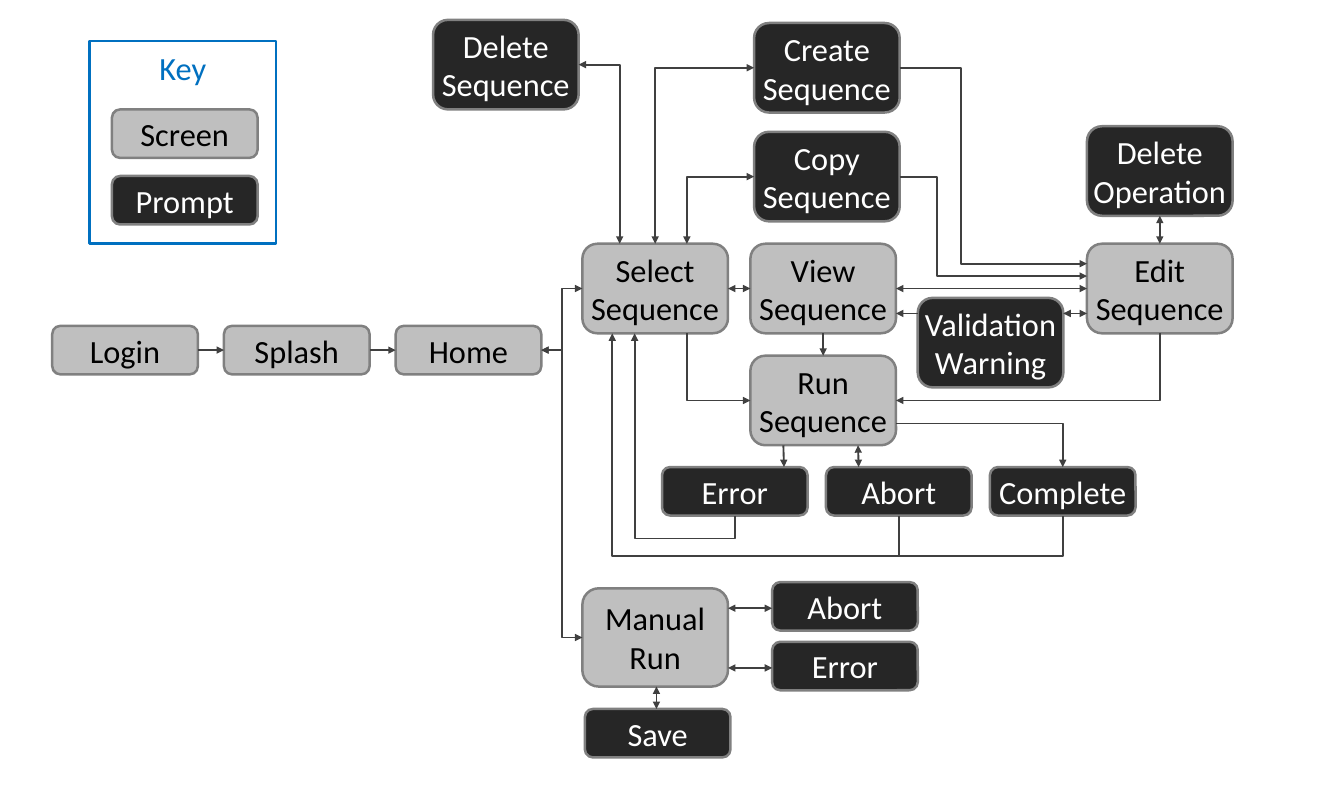
from lxml import etree
from pptx import Presentation
from pptx.dml.color import RGBColor
from pptx.enum.shapes import MSO_CONNECTOR, MSO_SHAPE
from pptx.enum.text import MSO_ANCHOR, PP_ALIGN
from pptx.oxml.ns import qn
from pptx.util import Pt

ROUNDED, RECTANGLE = MSO_SHAPE.ROUNDED_RECTANGLE, MSO_SHAPE.RECTANGLE
STRAIGHT, ELBOW = MSO_CONNECTOR.STRAIGHT, MSO_CONNECTOR.ELBOW
CENTER, MIDDLE = PP_ALIGN.CENTER, MSO_ANCHOR.MIDDLE

COLORS = {
    "screen": "BFBFBF", "screen_text": "000000",
    "prompt": "262626", "prompt_text": "FFFFFF",
    "border": "808080", "link": "404040", "key": "0070C0",
}
NODE_W, SHORT, TALL = 117, 39, 72


def rgb(name):
    return RGBColor.from_string(COLORS[name])


def write_text(shape, text, color="screen_text", size=26, font="Calibri"):
    frame = shape.text_frame
    frame.word_wrap = True
    frame.vertical_anchor = MIDDLE
    frame.margin_left = frame.margin_right = 0
    frame.margin_top = frame.margin_bottom = 0
    frame.text = text
    for paragraph in frame.paragraphs:
        paragraph.alignment = CENTER
        paragraph.font.size = Pt(size)
        paragraph.font.name = font
        paragraph.font.color.rgb = rgb(color)


def add_node(slide, label, kind, left, top, height=TALL):
    node = slide.shapes.add_shape(ROUNDED, Pt(left), Pt(top), Pt(NODE_W), Pt(height))
    node.shadow.inherit = False
    node.fill.solid()
    node.fill.fore_color.rgb = rgb(kind)
    node.line.color.rgb = rgb("border")
    node.line.width = Pt(2)
    write_text(node, label, color=kind + "_text")
    return node


def port(node, side, shift=0):
    """Point in points on one side of a node, shifted along it from the middle."""
    x, y = node.left.pt, node.top.pt
    w, h = node.width.pt, node.height.pt
    return {
        "left": (x, y + h / 2 + shift), "right": (x + w, y + h / 2 + shift),
        "top": (x + w / 2 + shift, y), "bottom": (x + w / 2 + shift, y + h),
    }[side]


def add_link(slide, start, end, arrows="both", kind=STRAIGHT):
    link = slide.shapes.add_connector(kind, *(Pt(v) for v in (*start, *end)))
    link.line.color.rgb = rgb("link")
    link.line.width = Pt(1.5)
    line = link.line._get_or_add_ln()
    for tag, wanted in (("a:headEnd", ("both", "start")), ("a:tailEnd", ("both", "end"))):
        if arrows in wanted:
            etree.SubElement(line, qn(tag), type="triangle")
    etree.SubElement(link._element.spPr, qn("a:effectLst"))
    return link


def add_corner(slide, start, end, arrows="both"):
    """Horizontal from start, then vertical to end."""
    link = add_link(slide, start, end, arrows, ELBOW)
    link._element.spPr.find(qn("a:prstGeom")).set("prst", "bentConnector2")


def set_bend(link, ratio):
    guides = link._element.spPr.find(qn("a:prstGeom")).find(qn("a:avLst"))
    etree.SubElement(guides, qn("a:gd"), name="adj1", fmla=f"val {round(ratio * 100000)}")


def add_step(slide, start, end, bend_x, arrows="both"):
    """Horizontal, vertical at bend_x, horizontal."""
    link = add_link(slide, start, end, arrows, ELBOW)
    set_bend(link, (bend_x - start[0]) / (end[0] - start[0]))


def add_return(slide, start, end, bend_y):
    """Down to bend_y, back to the left, then up to end: a step turned by 90 degrees."""
    (x1, y1), (x2, y2) = start, end
    mid_x, mid_y = (x1 + x2) / 2, (y1 + y2) / 2
    half_w, half_h = (y1 - y2) / 2, (x1 - x2) / 2
    link = add_link(slide, (mid_x + half_w, mid_y - half_h),
                    (mid_x - half_w, mid_y + half_h), "end", ELBOW)
    link._element.spPr.find(qn("a:xfrm")).set("rot", str(90 * 60000))
    set_bend(link, (bend_y - y1) / (y2 - y1))


def draw_key(slide, left, top, width, height):
    frame = slide.shapes.add_shape(RECTANGLE, Pt(left), Pt(top), Pt(width), Pt(height))
    frame.shadow.inherit = False
    frame.fill.background()
    frame.line.color.rgb = rgb("key")
    frame.line.width = Pt(2)
    title = slide.shapes.add_textbox(Pt(left), Pt(top + 2), Pt(width), Pt(SHORT))
    write_text(title, "Key", color="key")
    for row, label in enumerate(("Screen", "Prompt")):
        add_node(slide, label, label.lower(), left + 18, top + 55 + 53.5 * row, SHORT)


def draw_startup(slide, left, top):
    """Login, splash and home in a row; returns home."""
    screens = [add_node(slide, label, "screen", left + 138 * i, top, SHORT)
               for i, label in enumerate(("Login", "Splash", "Home"))]
    for before, after in zip(screens, screens[1:]):
        add_link(slide, port(before, "right"), port(after, "left"), "end")
    return screens[-1]


def draw_sequences(slide, left, top):
    """Sequence screens and their prompts; returns the select and run screens."""
    layout = {
        "Select Sequence": ("screen", 120, 180), "View Sequence": ("screen", 255, 180),
        "Run Sequence": ("screen", 255, 270), "Edit Sequence": ("screen", 525.5, 180),
        "Delete Sequence": ("prompt", 0, 0), "Create Sequence": ("prompt", 258, 2.5),
        "Copy Sequence": ("prompt", 258, 90), "Delete Operation": ("prompt", 525.5, 85.5),
        "Validation Warning": ("prompt", 389.5, 223.5),
    }
    select, view, run, edit, delete, create, copy_, delete_op, warning = (
        add_node(slide, label, kind, left + x, top + y)
        for label, (kind, x, y) in layout.items())

    # Prompts of the select screen
    for prompt, side, shift in ((delete, "right", -28.5), (create, "left", 0),
                                (copy_, "left", 25.5)):
        add_corner(slide, port(prompt, side), port(select, "top", shift))
    # New sequences go on to the edit screen
    for prompt, shift, bend in ((create, -20, 424.5), (copy_, -10, 405)):
        add_step(slide, port(prompt, "right"), port(edit, "left", shift), left + bend, "end")
    # Between screens
    add_link(slide, port(select, "right"), port(view, "left"))
    add_link(slide, port(view, "right"), port(edit, "left"))
    add_link(slide, port(view, "bottom"), port(run, "top"), "end")
    add_link(slide, port(edit, "top"), port(delete_op, "bottom"))
    add_link(slide, port(warning, "right", -23.5), port(edit, "left", 20))
    add_link(slide, port(view, "right", 20), port(warning, "left", -23.5), "start")
    add_corner(slide, port(run, "left"), port(select, "bottom", 25.5), "start")
    add_corner(slide, port(run, "right"), port(edit, "bottom"), "start")
    return select, run


def draw_run_results(slide, left, top, select, run):
    error, abort, complete = (
        add_node(slide, label, "prompt", left + 131.75 * i, top, SHORT)
        for i, label in enumerate(("Error", "Abort", "Complete")))
    add_link(slide, port(run, "bottom", -32), port(error, "top", 39.5), "end")
    add_link(slide, port(run, "bottom", 28), port(abort, "top", -32.25))
    add_corner(slide, port(run, "right", 18.5), port(complete, "top"), "end")
    # Back to the select screen
    add_return(slide, port(error, "bottom"), port(select, "bottom", -16.5), top + 57.5)
    add_return(slide, port(abort, "bottom"), port(select, "bottom", -34.5), top + 71.5)
    add_corner(slide, (port(abort, "bottom")[0], top + 71.5), port(complete, "bottom"), "none")


def draw_manual_run(slide, left, top):
    """Manual run with its prompts; returns the manual run screen."""
    manual = add_node(slide, "Manual\nRun", "screen", left, top, 79)
    for label, y, shift in (("Abort", -5, -23.5), ("Error", 43, 24.5)):
        prompt = add_node(slide, label, "prompt", left + 152.5, top + y, SHORT)
        add_link(slide, port(manual, "right", shift), port(prompt, "left", 1.5))
    save = add_node(slide, "Save", "prompt", left + 2, top + 97, SHORT)
    add_link(slide, port(manual, "bottom", 1), port(save, "top", -1))
    return manual


def main():
    deck = Presentation()
    deck.slide_width, deck.slide_height = Pt(1080), Pt(648)
    slide = deck.slides.add_slide(deck.slide_layouts[6])
    draw_key(slide, 72, 33, 150, 163)
    home = draw_startup(slide, 42, 262)
    select, run = draw_sequences(slide, 348, 16)
    draw_run_results(slide, 532, 375.5, select, run)
    manual = draw_manual_run(slide, 468, 473)
    # Home leads to both branches
    for screen in (select, manual):
        add_step(slide, port(home, "right"), port(screen, "left"), 451.5)
    deck.save("out.pptx")


if __name__ == "__main__":
    main()
